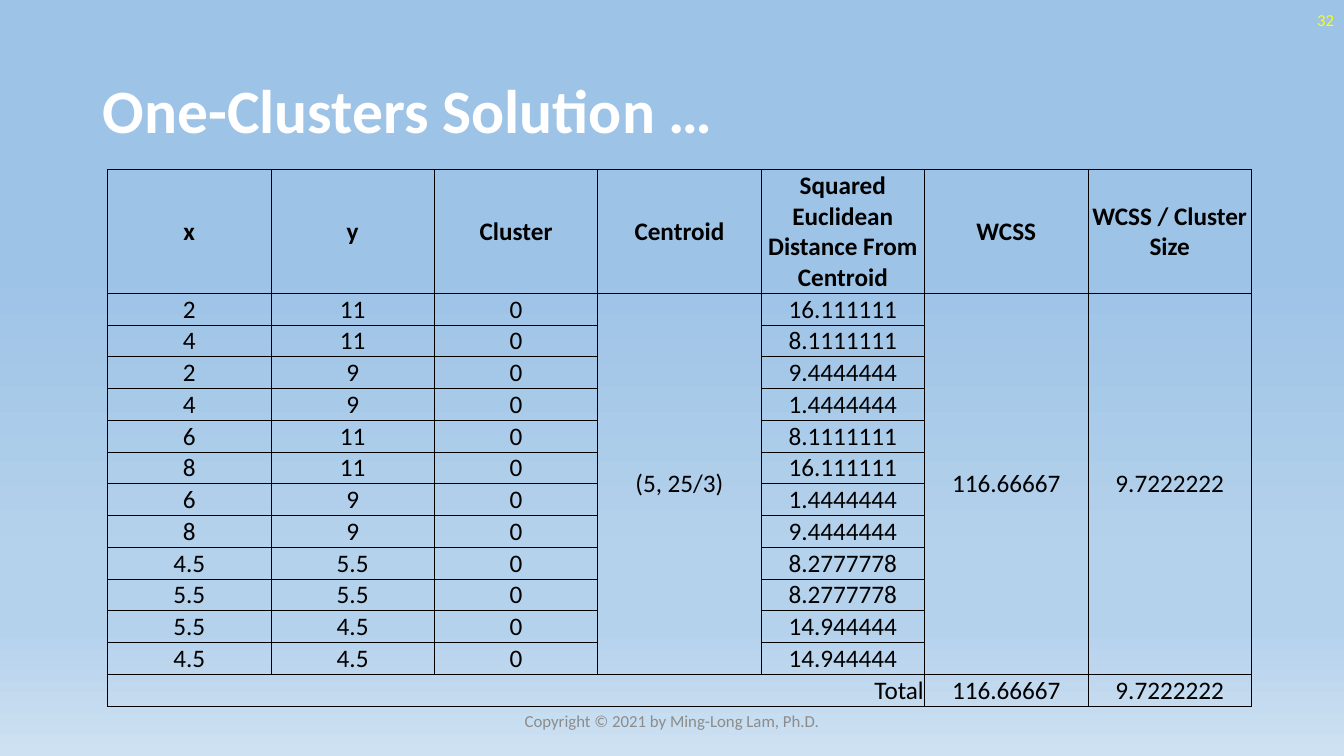
from copy import deepcopy

from lxml import etree
from pptx import Presentation
from pptx.dml.color import RGBColor
from pptx.enum import text as t
from pptx.oxml import ns
from pptx.util import Cm, Pt

WHITE = RGBColor(0xFF, 0xFF, 0xFF)
BLACK = RGBColor(0, 0, 0)
YELLOW = RGBColor(0xFF, 0xFF, 0)
GREY = RGBColor(0x8C, 0x8C, 0x8C)
SKY = RGBColor(0x9D, 0xC3, 0xE6)
PALE = RGBColor(0xB5, 0xD2, 0xEC)
MIST = RGBColor(0xCE, 0xE1, 0xF2)

LEFT, MID, RIGHT = t.PP_ALIGN.LEFT, t.PP_ALIGN.CENTER, t.PP_ALIGN.RIGHT

HEADS = ["x", "y", "Cluster", "Centroid",
         "Squared Euclidean Distance From Centroid",
         "WCSS", "WCSS / Cluster Size"]
POINTS = [
    ("2", "11", "16.111111"), ("4", "11", "8.1111111"),
    ("2", "9", "9.4444444"), ("4", "9", "1.4444444"),
    ("6", "11", "8.1111111"), ("8", "11", "16.111111"),
    ("6", "9", "1.4444444"), ("8", "9", "9.4444444"),
    ("4.5", "5.5", "8.2777778"), ("5.5", "5.5", "8.2777778"),
    ("5.5", "4.5", "14.944444"), ("4.5", "4.5", "14.944444"),
]
CENTER, WCSS, RATIO = "(5, 25/3)", "116.66667", "9.7222222"


def write(frame, words, size=18, color=BLACK, bold=False, align=MID, space=None):
    para = frame.paragraphs[0]
    para.alignment = align
    para.line_spacing = space
    run = para.add_run()
    run.text = words
    font = run.font
    font.name, font.size, font.bold = "Calibri", Pt(size), bold
    font.color.rgb = color


class Deck:
    def __init__(self):
        self.show = Presentation()
        self.show.slide_width, self.show.slide_height = Cm(33.87), Cm(19.05)
        self.slide = self.show.slides.add_slide(self.show.slide_layouts[5])

    def sky(self, stops):
        fill = self.slide.background.fill
        fill.gradient()
        fill.gradient_angle = 270
        marks = self.slide.element.xpath(".//a:gsLst")[0]
        for _ in range(len(stops) - len(marks)):
            marks.append(deepcopy(marks[0]))
        for mark, (place, color) in zip(fill.gradient_stops, stops):
            mark.position, mark.color.rgb = place, color

    def place(self, shape, box, words, **style):
        shape.left, shape.top, shape.width, shape.height = map(Cm, box)
        frame = shape.text_frame
        frame.word_wrap = True
        frame.auto_size = t.MSO_AUTO_SIZE.NONE
        frame.vertical_anchor = t.MSO_ANCHOR.MIDDLE
        write(frame, words, **style)

    def title(self, box, words, **style):
        self.place(self.slide.shapes.title, box, words, **style)

    def label(self, box, words, **style):
        shape = self.slide.shapes.add_textbox(0, 0, 0, 0)
        self.place(shape, box, words, **style)

    def edge(self, cell):
        props = cell._tc.get_or_add_tcPr()
        for spot, side in enumerate(("lnL", "lnR", "lnT", "lnB")):
            line = etree.Element(ns.qn("a:" + side), w=str(Pt(0.5)))
            paint = etree.SubElement(line, ns.qn("a:solidFill"))
            etree.SubElement(paint, ns.qn("a:srgbClr"), val=str(BLACK))
            props.insert(spot, line)

    def table(self, box, rows, head, spans):
        left, top, width, height = map(Cm, box)
        grid = self.slide.shapes.add_table(
            len(rows), len(rows[0]), left, top, width, height).table
        grid.first_row = grid.horz_banding = False
        body = (height - Cm(head)) // (len(rows) - 1)
        for i, row in enumerate(rows):
            grid.rows[i].height = body if i else Cm(head)
            for j, words in enumerate(row):
                cell = grid.cell(i, j)
                cell.margin_left = cell.margin_right = cell.margin_top = Cm(0.02)
                cell.margin_bottom = 0
                cell.vertical_anchor = t.MSO_ANCHOR.MIDDLE
                cell.fill.background()
                self.edge(cell)
                if words:
                    align = RIGHT if words == "Total" else MID
                    write(cell.text_frame, words, bold=i == 0, align=align)
        for start, end in spans:
            grid.cell(*start).merge(grid.cell(*end))


deck = Deck()
deck.sky([(0.35, SKY), (0.74, PALE), (0.83, PALE), (1, MIST)])
deck.title((2.33, 1.02, 29.21, 3.68), "One-Clusters Solution …",
           size=44, color=WHITE, bold=True, align=LEFT, space=0.9)
deck.label((26.25, 0, 7.62, 1.01), "32", size=12, color=YELLOW, align=RIGHT)

rows = [HEADS]
for i, (x, y, gap) in enumerate(POINTS):
    shared = ("", "", "") if i else (CENTER, WCSS, RATIO)
    rows.append([x, y, "0", shared[0], gap, *shared[1:]])
rows.append(["Total", "", "", "", "", WCSS, RATIO])
last = len(POINTS)
spans = [((1, j), (last, j)) for j in (3, 5, 6)]
spans.append(((last + 1, 0), (last + 1, 4)))
deck.table((2.71, 4.27, 28.83, 13.23), rows, 2.83, spans)

deck.label((11.22, 17.66, 11.43, 1.01),
           "Copyright © 2021 by Ming-Long Lam, Ph.D.", size=12, color=GREY)
deck.show.save("out.pptx")
